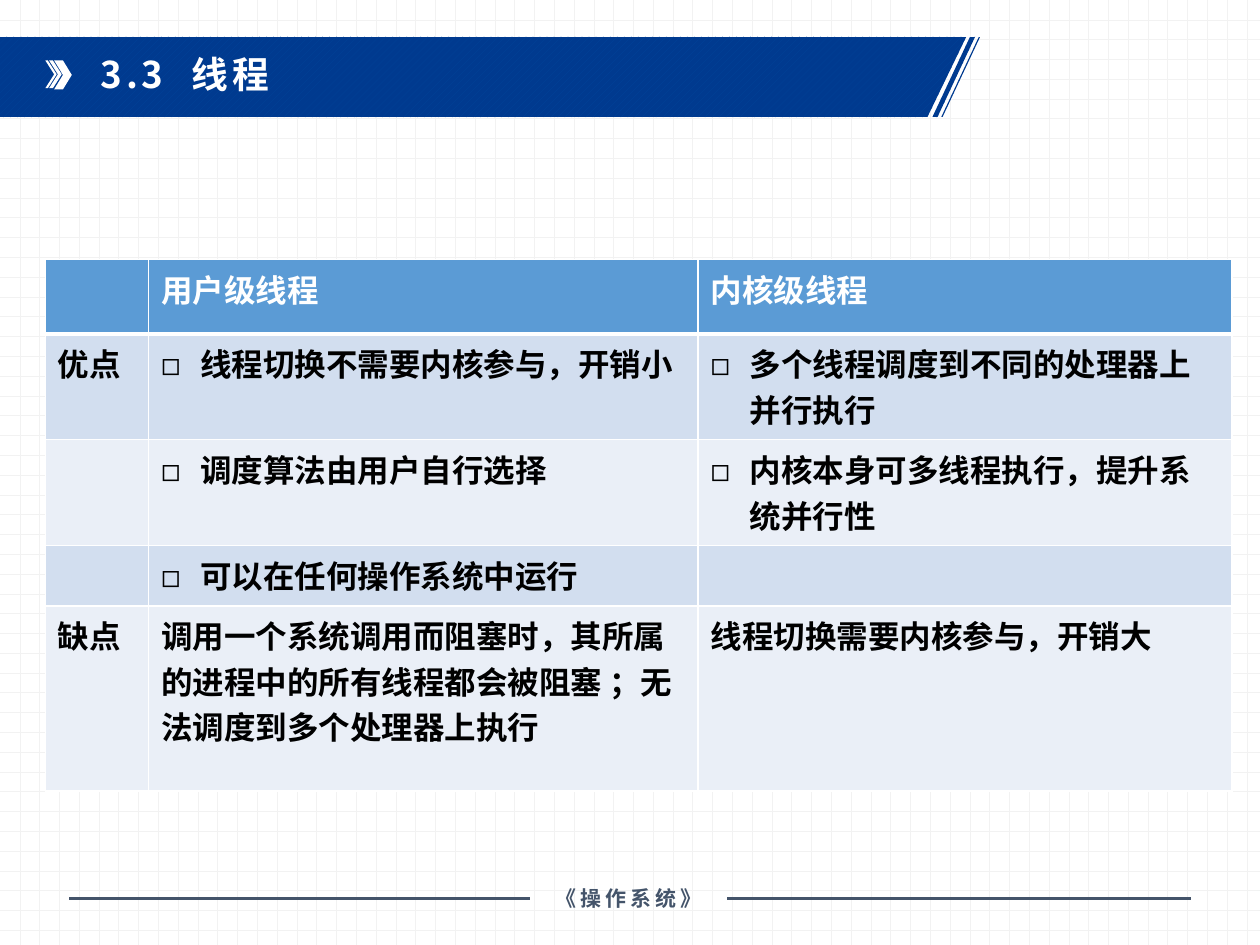
from typing import NamedTuple
from lxml.etree import SubElement
from pptx import Presentation
from pptx.dml.color import RGBColor
from pptx.enum.dml import MSO_PATTERN
from pptx.enum.shapes import MSO_CONNECTOR, MSO_SHAPE
from pptx.enum.text import MSO_ANCHOR, PP_ALIGN
from pptx.oxml.ns import qn
from pptx.util import Inches, Pt

FACE = "Noto Sans CJK SC"
WHITE, BLACK, NAVY, SLATE = "FFFFFF", "000000", "003A8F", "44546A"
BLUE, BANDS = "5B9BD5", ("D2DEEF", "EAEFF7")
BULLET = "◻"
INDENT = Inches(0.31)


class Label(NamedTuple):
    text: str
    left: float
    top: float
    width: float
    height: float
    size: float
    face: str
    color: str


class Row(NamedTuple):
    height: float
    cells: tuple[str, str, str]
    listed: bool = False


TITLE = Label("3.3  线程", 0.7, 0.4, 2.67, 0.56, 21, FACE, WHITE)
FOOTER = Label("《操作系统》", 4.21, 6.98, 1.56, 0.3, 12, "Arial", SLATE)
COLS = (0.82, 4.36, 4.24)
ROWS = (
    Row(0.59, ("", "用户级线程", "内核级线程")),
    Row(0.84, ("优点", "线程切换不需要内核参与，开销小",
               "多个线程调度到不同的处理器上并行执行"), True),
    Row(0.84, ("", "调度算法由用户自行选择",
               "内核本身可多线程执行，提升系统并行性"), True),
    Row(0.48, ("", "可以在任何操作系统中运行", ""), True),
    Row(1.47, ("缺点",
               "调用一个系统调用而阻塞时，其所属的进程中的所有线程都会被阻塞 ；无法调度到多个处理器上执行",
               "线程切换需要内核参与，开销大")),
)
STRIPES = (
    ((7.77, 0.29), (7.78, 0.29), (7.48, 0.93), (7.47, 0.93)),
    ((7.7, 0.29), (7.74, 0.29), (7.44, 0.93), (7.4, 0.93)),
    ((0, 0.29), (7.67, 0.29), (7.36, 0.93), (0, 0.93)),
)


def rgb(code: str) -> RGBColor:
    return RGBColor.from_string(code)


def paint(fill, code: str) -> None:
    fill.solid()
    fill.fore_color.rgb = rgb(code)


def hatch(fill, kind, fore: str, back: str) -> None:
    fill.patterned()
    fill.pattern = kind
    fill.fore_color.rgb = rgb(fore)
    fill.back_color.rgb = rgb(back)


def style(para, size: float, face: str, color: str, gap: int = 0) -> None:
    font = para.font
    font.size, font.bold, font.name = Pt(size), True, face
    font.color.rgb = rgb(color)
    props = para._p.pPr.find(qn("a:defRPr"))
    SubElement(props, qn("a:ea")).set("typeface", FACE)
    if gap:
        props.set("spc", str(gap))


def add_label(shapes, item: Label):
    box = shapes.add_textbox(*map(Inches, item[1:5]))
    frame = box.text_frame
    frame.word_wrap = True
    para = frame.paragraphs[0]
    para.text = item.text
    style(para, item.size, item.face, item.color, 220)
    return box


def add_form(shapes, parts):
    build = None
    for part in parts:
        first, *rest = [(Inches(x), Inches(y)) for x, y in part]
        if build is None:
            build = shapes.build_freeform(*first, scale=1.0)
        else:
            build.move_to(*first)
        build.add_line_segments(rest, close=True)
    form = build.convert_to_shape()
    form.shadow.inherit = False
    form.line.fill.background()
    return form


def add_arrow(shapes, left: float, thick: float) -> None:
    top, mid, low, tip = 0.48, 0.59, 0.7, 0.07
    right = left + thick
    points = ((left, top), (right, top), (right + tip, mid),
              (right, low), (left, low), (left + tip, mid))
    paint(add_form(shapes, [points]).fill, WHITE)


def add_rule(shapes, start: float, box, site: int) -> None:
    y = Inches(7.13)
    rule = shapes.add_connector(MSO_CONNECTOR.STRAIGHT, Inches(start), y, box.left, y)
    rule.end_connect(box, site)
    rule.line.color.rgb = rgb(SLATE)
    rule.line.width = Pt(2)
    SubElement(rule._element.spPr, qn("a:effectLst"))


def add_edge(cell, side: str, width: float) -> None:
    edge = SubElement(cell._tc.get_or_add_tcPr(), qn(f"a:ln{side}"), w=str(Pt(width)))
    fill = SubElement(edge, qn("a:solidFill"))
    SubElement(fill, qn("a:srgbClr"), val=WHITE)


def add_bullet(para) -> None:
    props = para._p.get_or_add_pPr()
    props.set("marL", str(INDENT))
    props.set("indent", str(-INDENT))
    SubElement(props, qn("a:buFont"), typeface=FACE)
    SubElement(props, qn("a:buChar"), char=BULLET)


def fill_cell(cell, text: str, row: int, listed: bool) -> None:
    widths = {"L": 1, "R": 1, "T": 3 if row == 1 else 1, "B": 1 if row else 3}
    for side, width in widths.items():
        add_edge(cell, side, width)
    paint(cell.fill, BANDS[(row - 1) % 2] if row else BLUE)
    para = cell.text_frame.paragraphs[0]
    para.text = text
    if listed and text:
        add_bullet(para)
    style(para, 18, FACE, BLACK if row else WHITE)


def add_grid(shapes) -> None:
    frame = shapes.add_table(len(ROWS), len(COLS), Inches(0.36), Inches(2.06),
                             Inches(sum(COLS)), Inches(sum(r.height for r in ROWS)))
    table = frame.table
    for col, width in zip(table.columns, COLS):
        col.width = Inches(width)
    for i, row in enumerate(ROWS):
        table.rows[i].height = Inches(row.height)
        for j, text in enumerate(row.cells):
            fill_cell(table.cell(i, j), text, i, row.listed and j > 0)


def main() -> None:
    deck = Presentation()
    deck.slide_width, deck.slide_height = Inches(10), Inches(7.5)
    slide = deck.slides.add_slide(deck.slide_layouts[6])
    shapes = slide.shapes
    hatch(slide.background.fill, MSO_PATTERN.DOTTED_GRID, "F2F2F2", WHITE)

    banner = add_form(shapes, STRIPES)
    hatch(banner.fill, MSO_PATTERN.WIDE_UPWARD_DIAGONAL, "00449A", NAVY)
    head = shapes.add_shape(MSO_SHAPE.CHEVRON, Inches(0.43), Inches(0.48),
                            Inches(0.14), Inches(0.23))
    head.shadow.inherit = False
    head.line.fill.background()
    paint(head.fill, WHITE)
    for left, thick in ((0.39, 0.03), (0.36, 0.02)):
        add_arrow(shapes, left, thick)

    foot = add_label(shapes, FOOTER)
    foot.text_frame.vertical_anchor = MSO_ANCHOR.MIDDLE
    foot.text_frame.paragraphs[0].alignment = PP_ALIGN.CENTER
    add_rule(shapes, 9.45, foot, 3)
    add_rule(shapes, 0.55, foot, 1)

    title = add_label(shapes, TITLE)
    title.text_frame.paragraphs[0].line_spacing = 0.9
    add_grid(shapes)
    deck.save("out.pptx")


if __name__ == "__main__":
    main()
